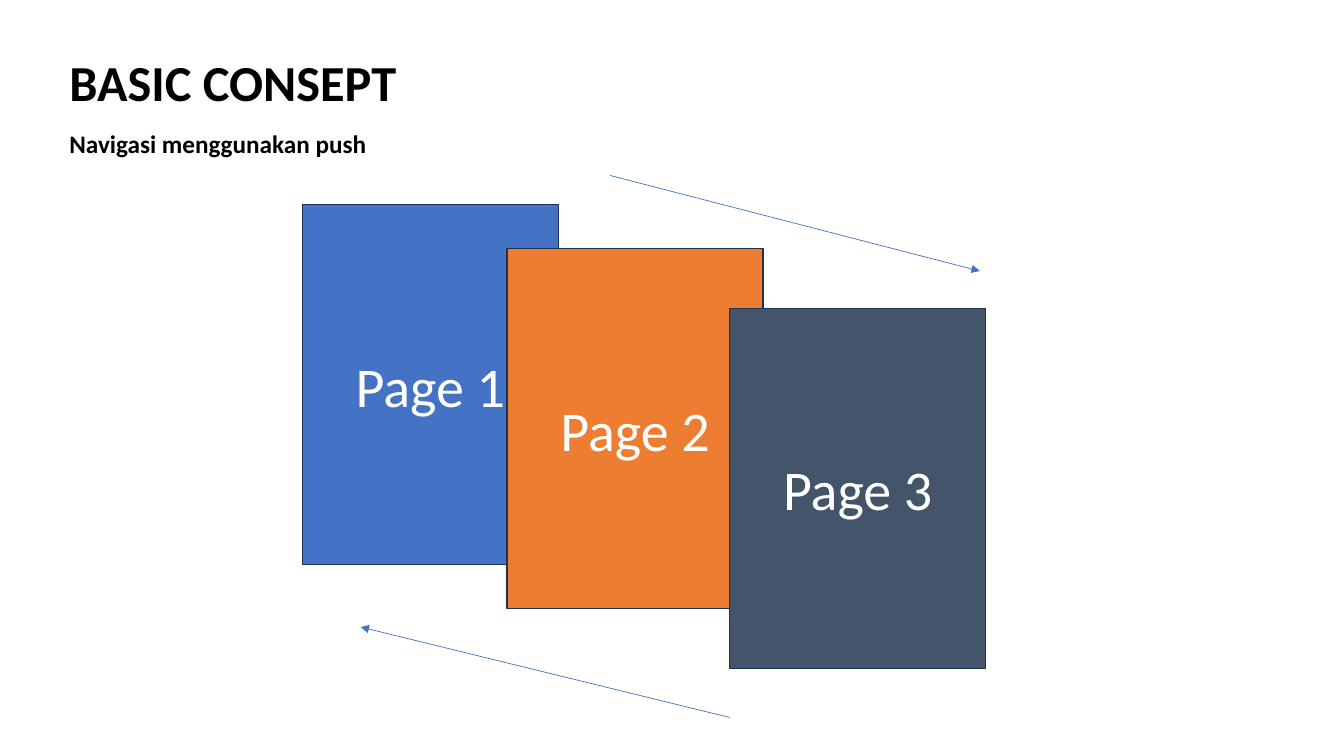
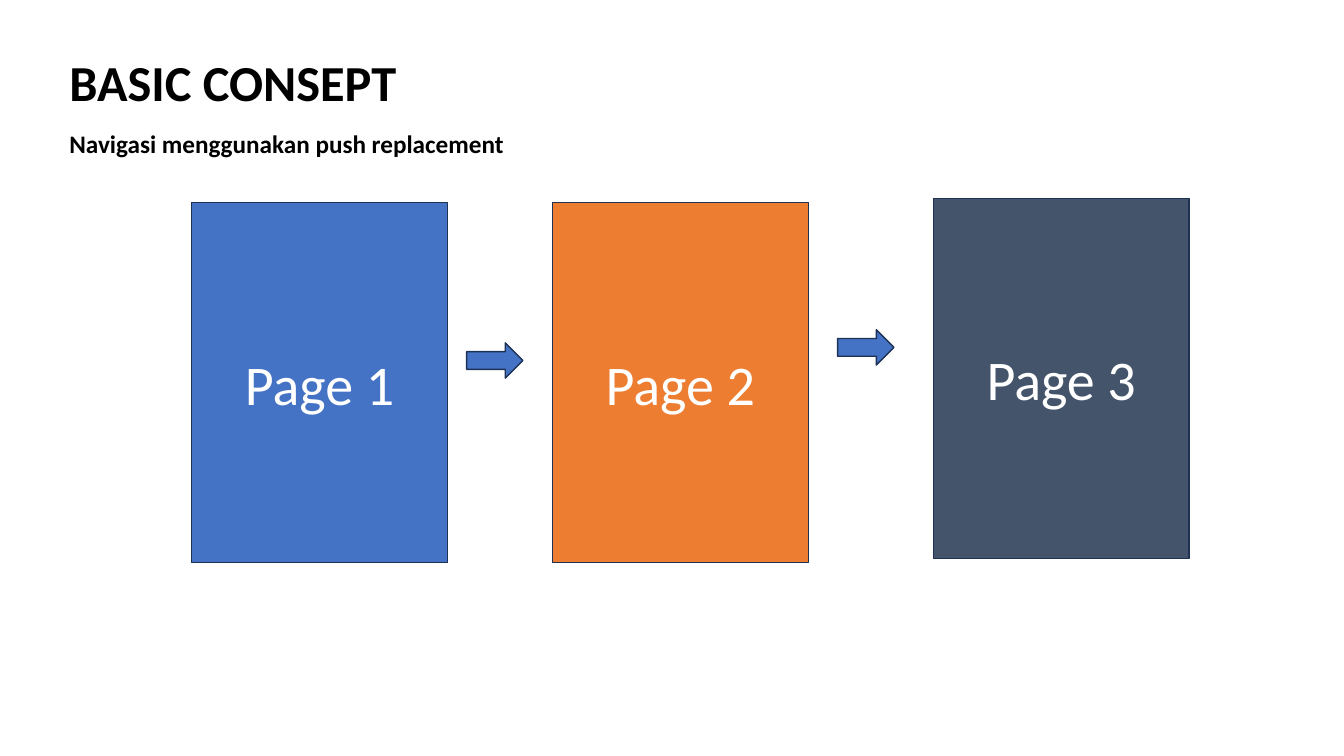
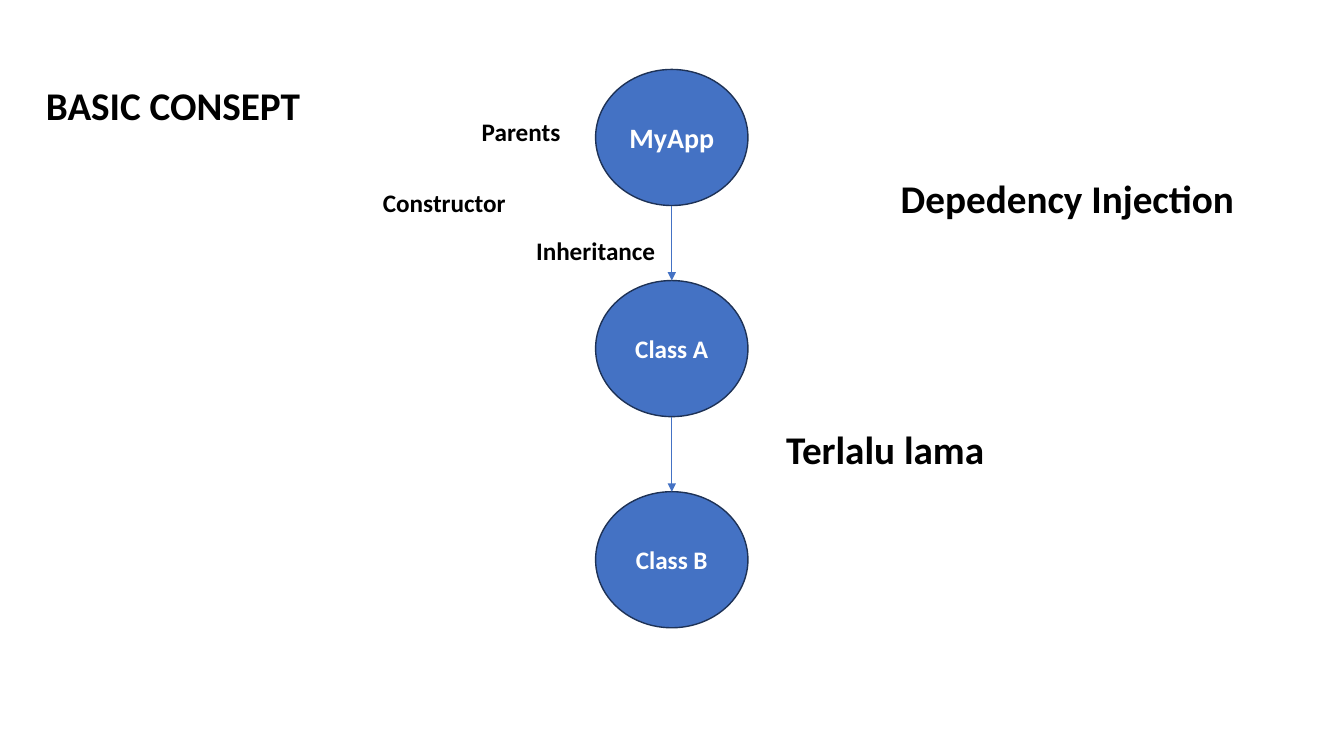
from itertools import pairwise

from lxml import etree
from pptx import Presentation
from pptx.dml.color import RGBColor
from pptx.enum import shapes, text
from pptx.oxml.ns import qn
from pptx.util import Cm, Pt

# Shared style
FONT = "Calibri"
BLACK, WHITE = "000000", "FFFFFF"
BLUE, ORANGE, SLATE, OUTLINE = "4472C4", "ED7D31", "44546A", "1E3256"
PAGE_SIZE = (6.45, 9.07)
ARROW_SIZE = (1.42, 0.89)
CIRCLE_SIZE = (3.84, 3.43)
HEADING_H, LABEL_H = 1.85, 1.02

# Content: lengths in cm
TITLE = "BASIC CONSEPT"
PAGES = [("Page 1", BLUE), ("Page 2", ORANGE), ("Page 3", SLATE)]

PUSH = {
    "subtitle": ("Navigasi menggunakan push", 8.2),
    "pages": [(7.62, 5.16), (12.78, 6.27), (18.39, 7.77)],
    "lines": [(15.37, 4.42, 24.69, 6.83), (18.39, 18.08, 9.09, 15.8)],
    "arrows": [],
}
REPLACEMENT = {
    "subtitle": ("Navigasi menggunakan push replacement", 11.68),
    "pages": [(4.83, 5.11), (13.92, 5.11), (23.52, 5)],
    "lines": [],
    "arrows": [(11.76, 8.64), (21.11, 8.31)],
}

CLASSES = [("MyApp", 20), ("Class A", 18), ("Class B", 18)]
CIRCLE_X, CIRCLE_Y, CIRCLE_PITCH = 15.01, 1.75, 5.32
HEADINGS = [  # text, left, top, width
    (TITLE, 0.91, 1.42, 7.01),
    ("Depedency Injection", 22.45, 3.76, 9.02),
    ("Terlalu lama", 19.56, 10.08, 5.56),
]
LABELS = [
    ("Parents", 11.89, 2.79, 2.51),
    ("Inheritance", 13.26, 5.79, 3.53),
    ("Constructor", 9.4, 4.6, 3.63),
]


def rgb(value):
    return RGBColor.from_string(value)


def write(tf, words, size, color, bold):
    tf.text = words
    tf.vertical_anchor = text.MSO_ANCHOR.MIDDLE
    p = tf.paragraphs[0]
    font = p.runs[0].font
    font.name, font.size, font.bold = FONT, Pt(size), bold
    font.color.rgb = rgb(color)
    return p


def add_text(s, words, x, y, w, h, size, spacing=1, wrap=False):
    tf = s.shapes.add_textbox(Cm(x), Cm(y), Cm(w), Cm(h)).text_frame
    tf.word_wrap = wrap
    if not wrap:
        tf.auto_size = text.MSO_AUTO_SIZE.SHAPE_TO_FIT_TEXT
    write(tf, words, size, BLACK, True).line_spacing = spacing


def add_box(s, kind, x, y, box, fill=BLUE, words="", size=18, bold=False):
    sp = s.shapes.add_shape(kind, Cm(x), Cm(y), *map(Cm, box))
    sp.shadow.inherit = False
    sp.fill.solid()
    sp.fill.fore_color.rgb = rgb(fill)
    sp.line.color.rgb = rgb(OUTLINE)
    sp.line.width = Pt(1)
    if words:
        p = write(sp.text_frame, words, size, WHITE, bold)
        p.alignment = text.PP_ALIGN.CENTER
    return sp


def add_line(s, x1, y1, x2, y2):
    line = s.shapes.add_connector(shapes.MSO_CONNECTOR.STRAIGHT,
                                  Cm(x1), Cm(y1), Cm(x2), Cm(y2))
    line.line.color.rgb = rgb(BLUE)
    line.line.width = Pt(0.5)
    ln = line.line._get_or_add_ln()
    etree.SubElement(ln, qn("a:tailEnd"), type="triangle")
    etree.SubElement(line._element.spPr, qn("a:effectLst"))
    return line


def navigation_slide(s, content):
    add_text(s, TITLE, 1.5, 0.25, 17.27, 2.82, 36, 1.5, wrap=True)
    words, width = content["subtitle"]
    add_text(s, words, 1.5, 3.1, width, LABEL_H, 18)
    for (page, fill), (x, y) in zip(PAGES, content["pages"]):
        add_box(s, shapes.MSO_SHAPE.RECTANGLE, x, y, PAGE_SIZE, fill, page, 40)
    for x, y in content["arrows"]:
        add_box(s, shapes.MSO_SHAPE.RIGHT_ARROW, x, y, ARROW_SIZE)
    for ends in content["lines"]:
        add_line(s, *ends)


def injection_slide(s):
    # Class chain
    circles = [
        add_box(s, shapes.MSO_SHAPE.OVAL, CIRCLE_X, CIRCLE_Y + i * CIRCLE_PITCH,
                CIRCLE_SIZE, BLUE, name, size, True)
        for i, (name, size) in enumerate(CLASSES)
    ]
    middle = CIRCLE_X + CIRCLE_SIZE[0] / 2
    for upper, lower in pairwise(circles):
        line = add_line(s, middle, (upper.top + upper.height).cm
                        if hasattr(upper.top + upper.height, "cm")
                        else upper.top.cm + upper.height.cm,
                        middle, lower.top.cm)
        line.end_connect(lower, 0)
    # Headings and labels
    for words, x, y, w in HEADINGS:
        add_text(s, words, x, y, w, HEADING_H, 28, 1.5)
    for words, x, y, w in LABELS:
        add_text(s, words, x, y, w, LABEL_H, 18)


def main():
    prs = Presentation()
    prs.slide_width, prs.slide_height = Cm(33.87), Cm(19.05)
    blank = prs.slide_layouts[6]
    for content in (PUSH, REPLACEMENT):
        navigation_slide(prs.slides.add_slide(blank), content)
    injection_slide(prs.slides.add_slide(blank))
    prs.save("out.pptx")


if __name__ == "__main__":
    main()
